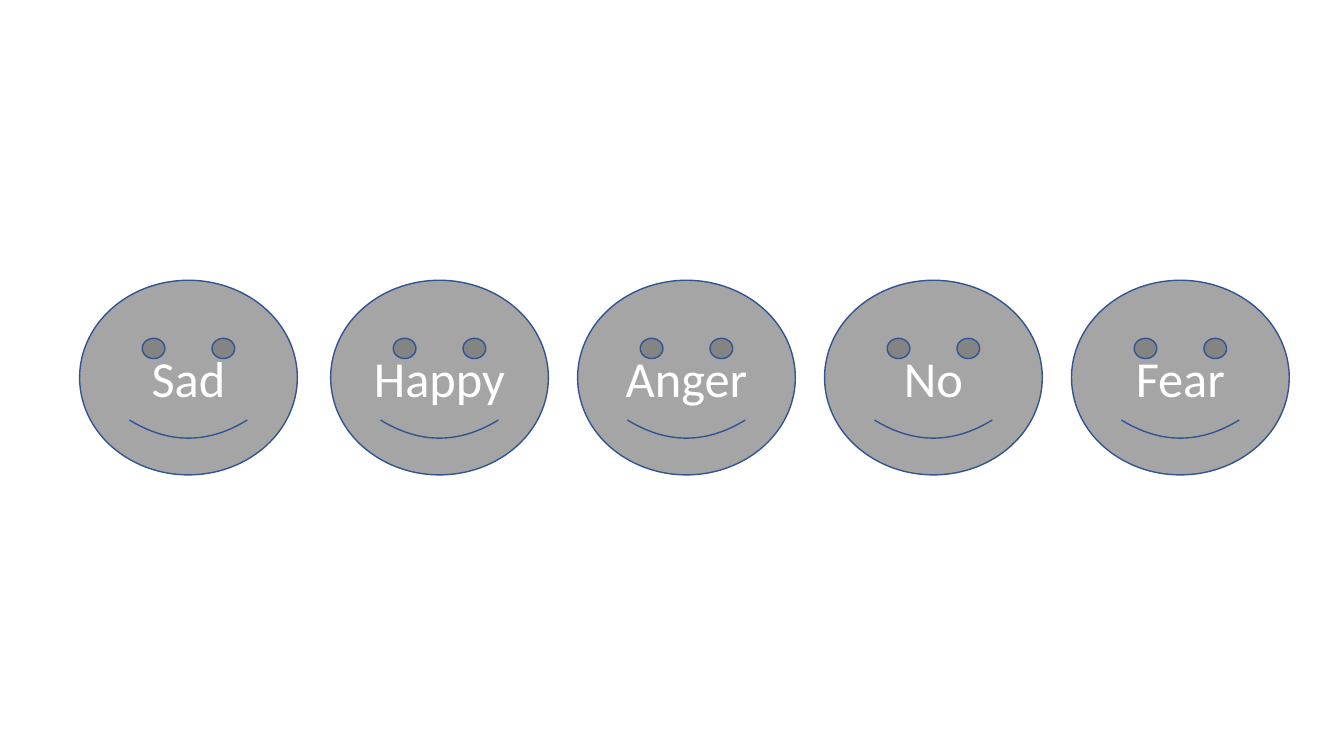
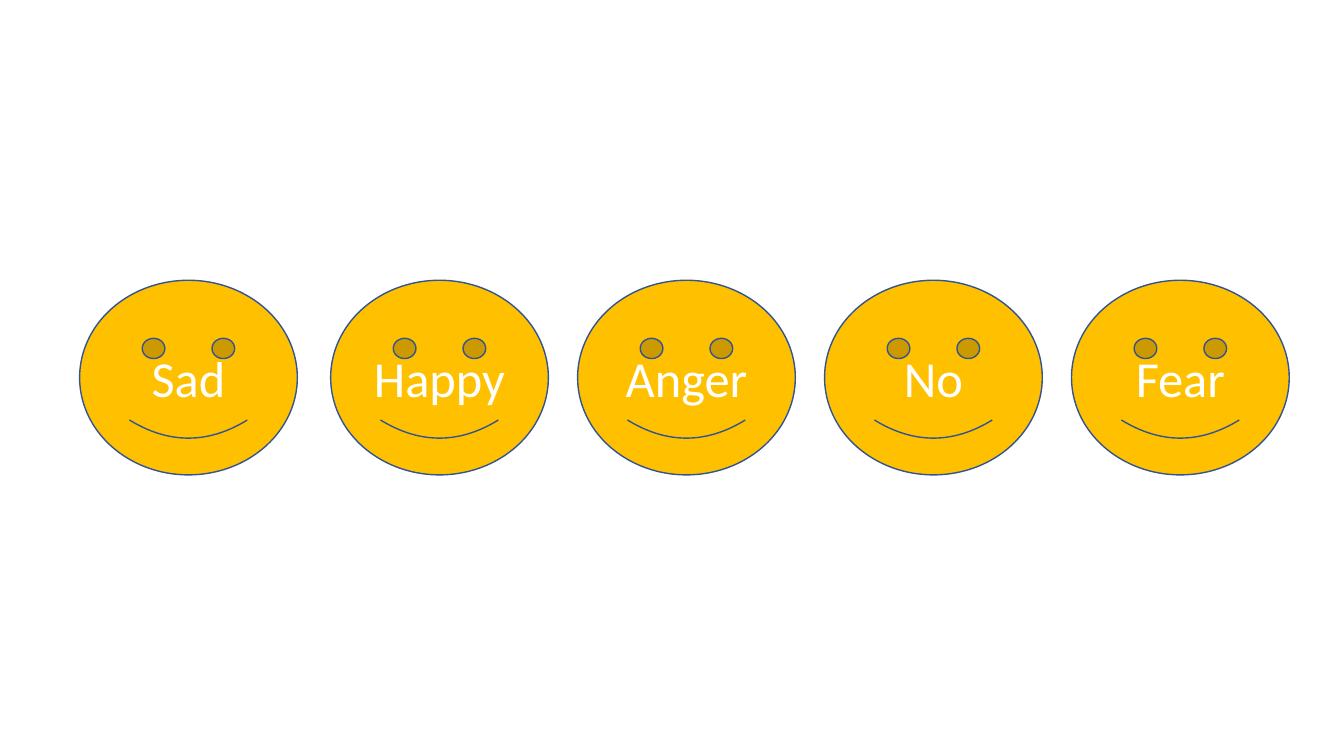
"""Build two slides that show a row of emotion faces, first grey and then yellow."""
import pptx
import pptx.dml.color
import pptx.enum.shapes
import pptx.enum.text
import pptx.util

Pt = pptx.util.Pt

FONT = "Calibri"
WHITE = "FFFFFF"
OUTLINE = "325491"
FACE_FILLS = ("A5A5A5", "FFC000")
EMOTIONS = ("Sad", "Happy", "Anger", "No", "Fear")

FACE_TOP, FACE_WIDTH, FACE_HEIGHT = 200.2, 155.5, 139
FIRST_LEFT, SECOND_LEFT, FACE_PITCH = 56.9, 236.2, 176.4


def colour(value):
    """Return the colour for a hex string."""
    return pptx.dml.color.RGBColor.from_string(value)


def face_left(index):
    """Return the left edge of a face; the first stands apart from the even row."""
    return FIRST_LEFT if index == 0 else SECOND_LEFT + (index - 1) * FACE_PITCH


def add_face(page, left, emotion, fill):
    """Add one smiley face labelled with its emotion."""
    face = page.shapes.add_shape(
        pptx.enum.shapes.MSO_SHAPE.SMILEY_FACE,
        Pt(left), Pt(FACE_TOP), Pt(FACE_WIDTH), Pt(FACE_HEIGHT))
    face.shadow.inherit = False
    face.fill.solid()
    face.fill.fore_color.rgb = colour(fill)
    face.line.color.rgb = colour(OUTLINE)
    face.line.width = Pt(1)
    frame = face.text_frame
    frame.word_wrap = True
    frame.vertical_anchor = pptx.enum.text.MSO_ANCHOR.MIDDLE
    para = frame.paragraphs[0]
    para.text = emotion
    para.alignment = pptx.enum.text.PP_ALIGN.CENTER
    para.font.name = FONT
    para.font.size = Pt(36)
    para.font.color.rgb = colour(WHITE)


def add_face_page(deck, fill):
    """Add a blank slide with the row of faces in one colour."""
    page = deck.slides.add_slide(deck.slide_layouts.get_by_name("Blank"))
    for index, emotion in enumerate(EMOTIONS):
        add_face(page, face_left(index), emotion, fill)


def main():
    """Build and save the deck."""
    deck = pptx.Presentation()
    deck.slide_width, deck.slide_height = Pt(960), Pt(540)
    for fill in FACE_FILLS:
        add_face_page(deck, fill)
    deck.save("out.pptx")


if __name__ == "__main__":
    main()
